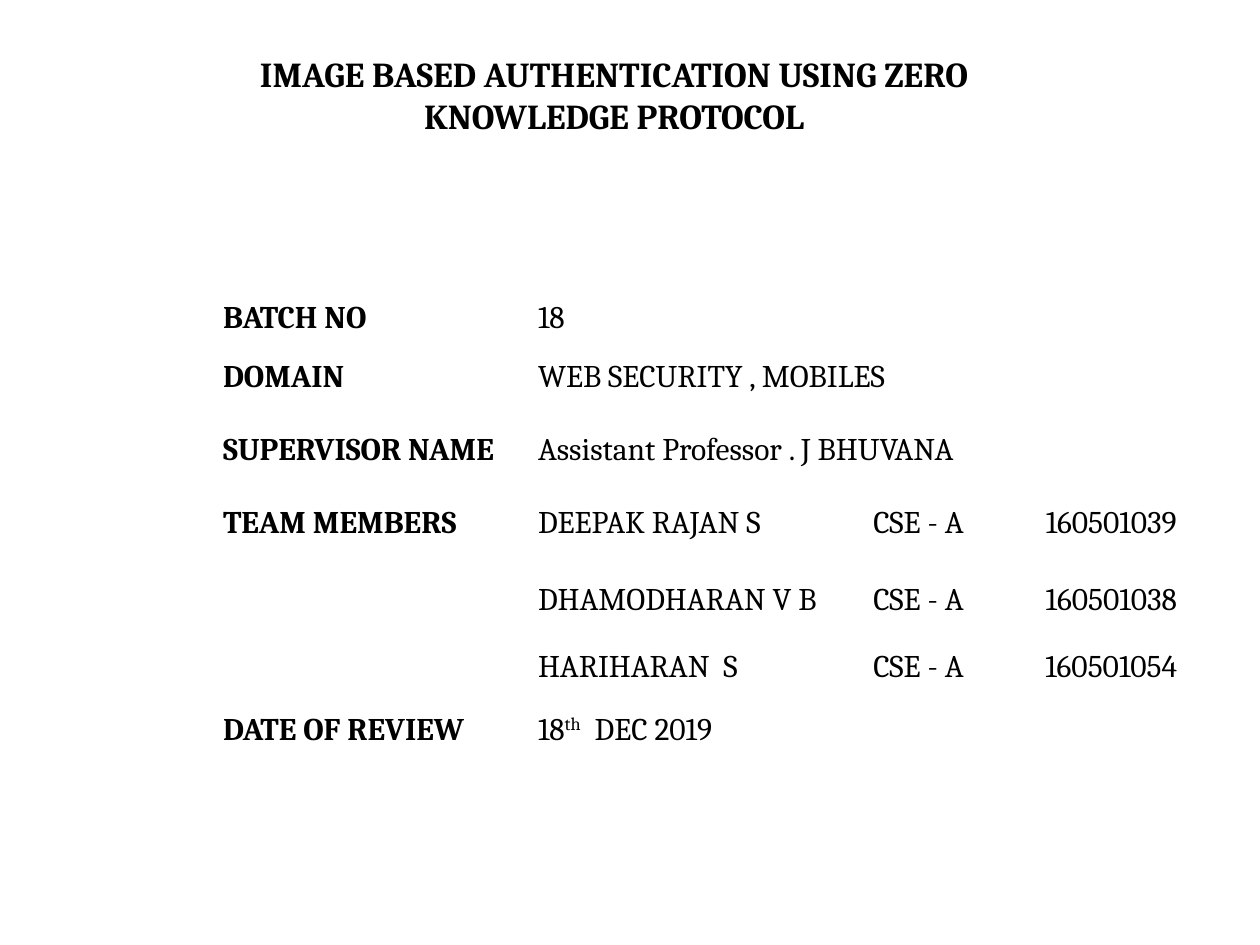
import lxml.etree
import pptx
import pptx.dml.color
import pptx.enum.text
import pptx.oxml.ns
import pptx.util

Inches = pptx.util.Inches
Pt = pptx.util.Pt
ALIGN = pptx.enum.text.PP_ALIGN
ANCHOR = pptx.enum.text.MSO_ANCHOR
qn = pptx.oxml.ns.qn

COLORS = {"text": "000000", "background": "FFFFFF", "border": "FFFFFF"}
FONT = "Cambria"

TITLE = "IMAGE BASED AUTHENTICATION USING ZERO KNOWLEDGE PROTOCOL"
COLUMN_WIDTHS = [2.5, 2.61, 1.02, 2.04]
ROW_HEIGHTS = [0.47, 0.58, 0.58, 0.61, 0.53, 0.5, 0.41, 0.41]
MERGED_ROWS = 3
ROWS = [
    ["BATCH NO", "18"],
    ["DOMAIN", "WEB SECURITY , MOBILES"],
    ["SUPERVISOR NAME", "Assistant Professor . J BHUVANA"],
    ["TEAM MEMBERS", "DEEPAK RAJAN S", "CSE - A", "160501039"],
    ["", "DHAMODHARAN V B", "CSE - A", "160501038"],
    ["", "HARIHARAN  S", "CSE - A", "160501054"],
    ["DATE OF REVIEW", ("18", "th", "  DEC 2019")],
    [],
]


def format_paragraph(paragraph, size, bold, alignment):
    paragraph.alignment = alignment
    font = paragraph.font
    font.name = FONT
    font.size = Pt(size)
    font.bold = bold
    font.color.rgb = pptx.dml.color.RGBColor.from_string(COLORS["text"])


def add_title(slide, left, top, width, height):
    title = slide.shapes.title
    title.left, title.top = Inches(left), Inches(top)
    title.width, title.height = Inches(width), Inches(height)
    frame = title.text_frame
    frame.word_wrap = True
    frame.auto_size = pptx.enum.text.MSO_AUTO_SIZE.NONE
    frame.vertical_anchor = ANCHOR.MIDDLE
    frame.text = TITLE
    format_paragraph(frame.paragraphs[0], 20, True, ALIGN.CENTER)


def set_borders(cell):
    """Give the cell one-point lines, placed ahead of its fill as the schema asks."""
    properties = cell._tc.get_or_add_tcPr()
    for index, side in enumerate(("lnL", "lnR", "lnT", "lnB")):
        line = lxml.etree.Element(qn(f"a:{side}"), w=str(Pt(1)))
        fill = lxml.etree.SubElement(line, qn("a:solidFill"))
        lxml.etree.SubElement(fill, qn("a:srgbClr"), val=COLORS["border"])
        properties.insert(index, line)


def fill_cell(cell, content, column):
    """Write text; the middle part of a tuple is raised."""
    paragraph = cell.text_frame.paragraphs[0]
    parts = content if isinstance(content, tuple) else (content,)
    for index, part in enumerate(parts):
        if part:
            run = paragraph.add_run()
            run.text = part
            if index == 1:
                run._r.get_or_add_rPr().set("baseline", "30000")
    alignment = ALIGN.CENTER if column >= 2 else ALIGN.LEFT
    format_paragraph(paragraph, 18, column == 0, alignment)


def add_details_table(slide, left, top):
    width, height = sum(COLUMN_WIDTHS), sum(ROW_HEIGHTS)
    table = slide.shapes.add_table(
        len(ROW_HEIGHTS), len(COLUMN_WIDTHS),
        Inches(left), Inches(top), Inches(width), Inches(height)).table
    table.first_row = False
    table.horz_banding = False
    for column, column_width in zip(table.columns, COLUMN_WIDTHS):
        column.width = Inches(column_width)
    for row, row_height in zip(table.rows, ROW_HEIGHTS):
        row.height = Inches(row_height)

    for row_index, contents in enumerate(ROWS):
        for column in range(len(COLUMN_WIDTHS)):
            cell = table.cell(row_index, column)
            cell.vertical_anchor = ANCHOR.TOP
            cell.fill.background()
            set_borders(cell)
            content = contents[column] if column < len(contents) else ""
            fill_cell(cell, content, column)
        if row_index < MERGED_ROWS:
            table.cell(row_index, 1).merge(table.cell(row_index, 3))


def main():
    presentation = pptx.Presentation()
    presentation.slide_width = Inches(10)
    presentation.slide_height = Inches(7.5)
    slide = presentation.slides.add_slide(presentation.slide_layouts[5])
    background = slide.background.fill
    background.solid()
    background.fore_color.rgb = pptx.dml.color.RGBColor.from_string(
        COLORS["background"])
    add_title(slide, 1.5, 0.25, 6.75, 1)
    add_details_table(slide, 1.67, 2.33)
    presentation.save("out.pptx")


if __name__ == "__main__":
    main()
